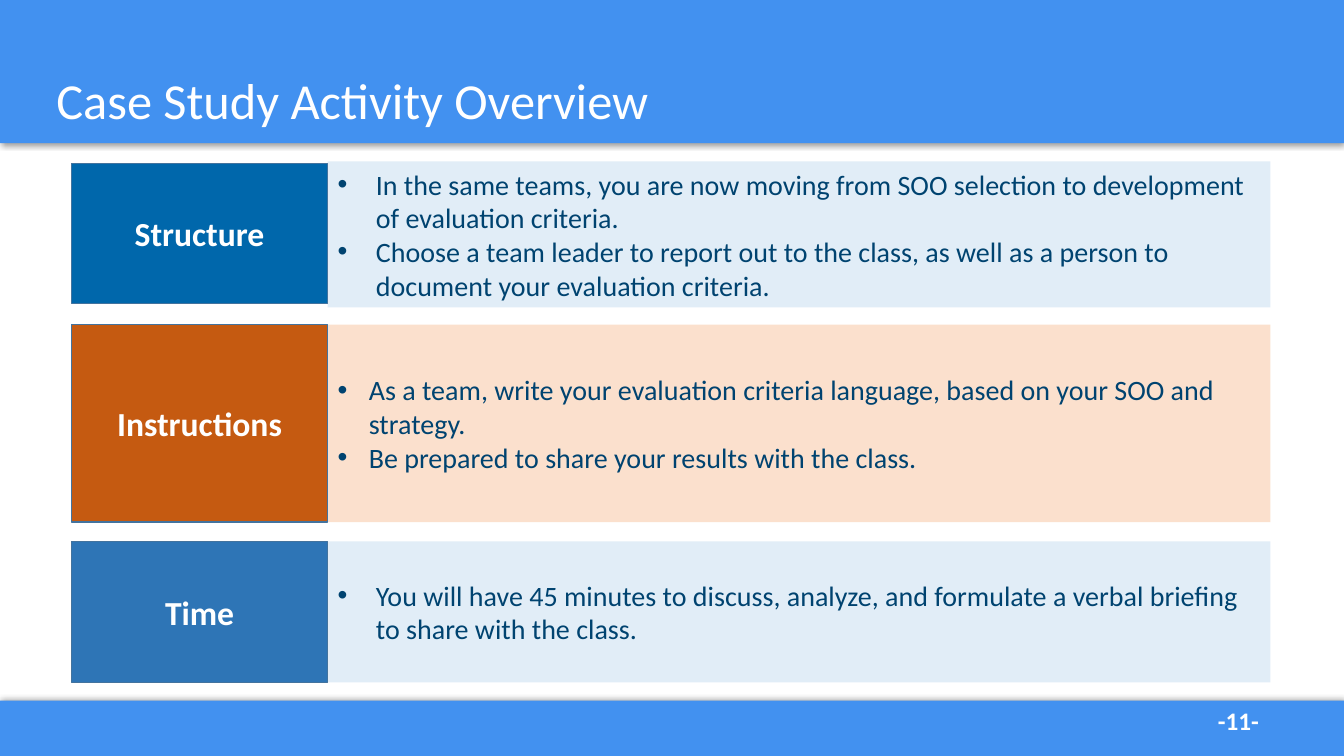
from lxml.etree import SubElement
from pptx import Presentation
from pptx.dml.color import RGBColor
from pptx.enum.shapes import MSO_SHAPE
from pptx.enum.text import MSO_ANCHOR, PP_ALIGN
from pptx.oxml.ns import qn
from pptx.util import Inches, Pt

COLORS = {
    "band": "4291F0", "white": "FFFFFF", "text": "004370", "edge": "43739E",
    "blue": "0067AB", "orange": "C55A11", "steel": "2E75B6",
    "pale": "E1EDF7", "peach": "FBE0CD", "shade": "000000",
}
WIDE, HIGH = 13.33, 7.5
LEFT, SPLIT, RIGHT = 0.71, 3.25, 12.6

# label, label fill, body fill, label (top, height), body (top, height), indent, bullets
ROWS = [
    ("Structure", "blue", "pale", (1.62, 1.39), (1.6, 1.45), 0.38, [
        "In the same teams, you are now moving from SOO selection to "
        "development of evaluation criteria.",
        "Choose a team leader to report out to the class, as well as a "
        "person to document your evaluation criteria."]),
    ("Instructions", "orange", "peach", (3.22, 1.96), (3.22, 1.96), 0.31, [
        "As a team, write your evaluation criteria language, based on "
        "your SOO and strategy.",
        "Be prepared to share your results with the class."]),
    ("Time", "steel", "pale", (5.37, 1.4), (5.37, 1.4), 0.38, [
        "You will have 45 minutes to discuss, analyze, and formulate a "
        "verbal briefing to share with the class."]),
]


def color(name):
    return RGBColor.from_string(COLORS[name])


def add_box(slide, box, fill, edge=None):
    shape = slide.shapes.add_shape(MSO_SHAPE.RECTANGLE, *map(Inches, box))
    shape.fill.solid()
    shape.fill.fore_color.rgb = color(fill)
    if edge:
        shape.line.color.rgb = color(edge)
        shape.line.width = Pt(1)
    else:
        shape.line.fill.background()
    shape.shadow.inherit = False
    return shape


def add_text(shape, lines, size, ink, bold=False, align=PP_ALIGN.LEFT,
             anchor=MSO_ANCHOR.MIDDLE):
    """Write one paragraph per line into the shape's text frame."""
    frame = shape.text_frame
    frame.word_wrap = True
    frame.vertical_anchor = anchor
    for i, line in enumerate(lines):
        para = frame.add_paragraph() if i else frame.paragraphs[0]
        para.alignment = align
        run = para.add_run()
        run.text = line
        run.font.name = "Calibri"
        run.font.size = Pt(size)
        run.font.bold = bold
        run.font.color.rgb = color(ink)
    return frame


def add_bullets(frame, indent):
    for para in frame.paragraphs:
        props = para._p.get_or_add_pPr()
        props.set("marL", str(Inches(indent)))
        props.set("indent", str(-Inches(indent)))
        SubElement(props, qn("a:buFont"), typeface="Arial")
        SubElement(props, qn("a:buChar"), char="•")


def add_band(slide, box, angle):
    """Draw a full-width band whose soft shadow falls at the given angle."""
    band = add_box(slide, box, "band")
    effects = band._element.spPr.find(qn("a:effectLst"))
    shadow = SubElement(effects, qn("a:outerShdw"), blurRad=str(Pt(4)),
                        dist=str(Pt(1)), dir=str(angle * 60000),
                        rotWithShape="0")
    tint = SubElement(shadow, qn("a:srgbClr"), val=COLORS["shade"])
    SubElement(tint, qn("a:alpha"), val="40000")


def add_header(slide, box):
    left, top, width, height = box
    add_band(slide, box, 90)
    title = slide.shapes.add_textbox(
        Inches(left + 0.46), Inches(top + 0.3),
        Inches(width - 0.91), Inches(height + 0.03))
    frame = add_text(title, ["Case Study Activity Overview"], 36, "white")
    frame.paragraphs[0].line_spacing = 0.9


def add_footer(slide, box):
    left, top, width, height = box
    add_band(slide, box, 270)
    number = slide.shapes.add_textbox(
        Inches(left + width - 1.35), Inches(top), Inches(0.98), Inches(0.4))
    add_text(number, ["-11-"], 18, "white", bold=True, anchor=MSO_ANCHOR.TOP)


def add_row(slide, row):
    name, dark, light, (top, height), (low, tall), indent, lines = row
    body = add_box(slide, (SPLIT, low, RIGHT - SPLIT, tall), light)
    add_bullets(add_text(body, lines, 20, "text"), indent)
    label = add_box(slide, (LEFT, top, SPLIT - LEFT, height), dark, "edge")
    add_text(label, [name], 24, "white", bold=True, align=PP_ALIGN.CENTER)


def main():
    deck = Presentation()
    deck.slide_width, deck.slide_height = Inches(WIDE), Inches(HIGH)
    slide = deck.slides.add_slide(deck.slide_layouts[6])
    add_footer(slide, (0, 6.95, WIDE, 0.55))
    add_header(slide, (0, 0, WIDE, 1.42))
    for row in ROWS:
        add_row(slide, row)
    deck.save("out.pptx")


if __name__ == "__main__":
    main()
